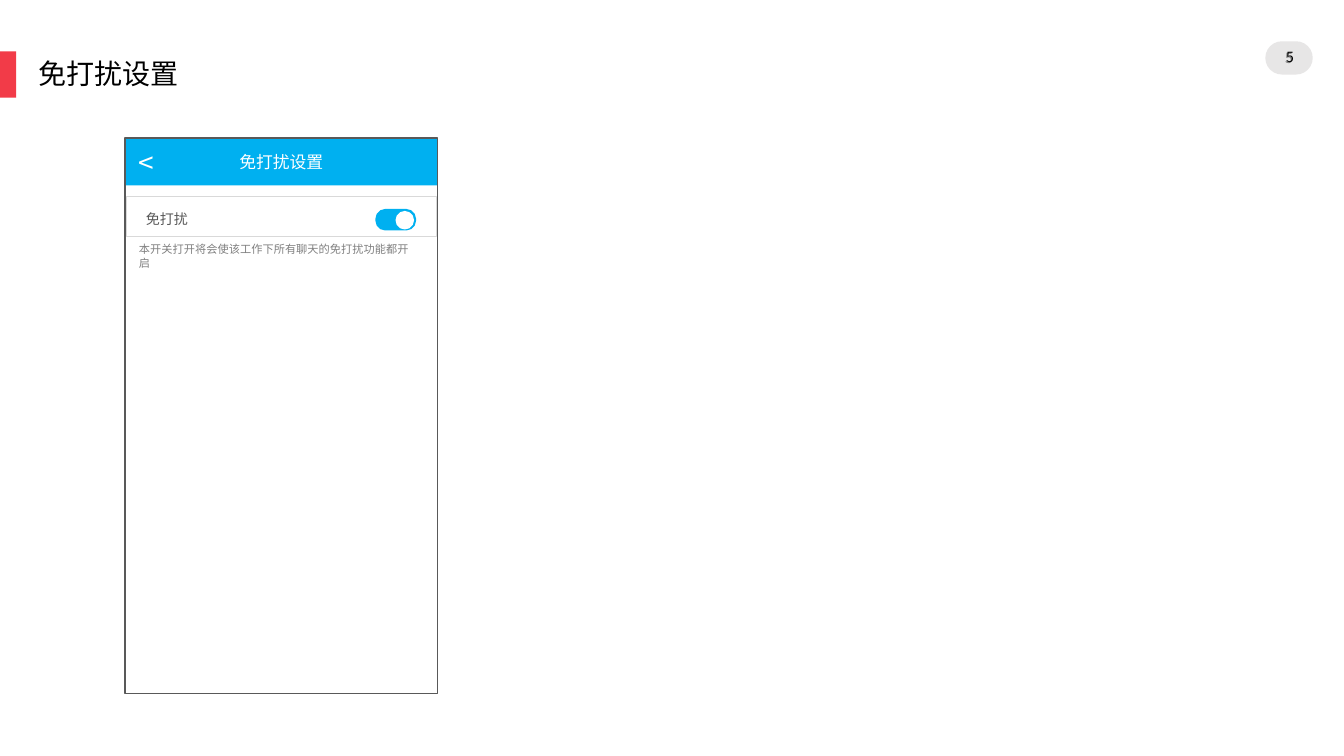
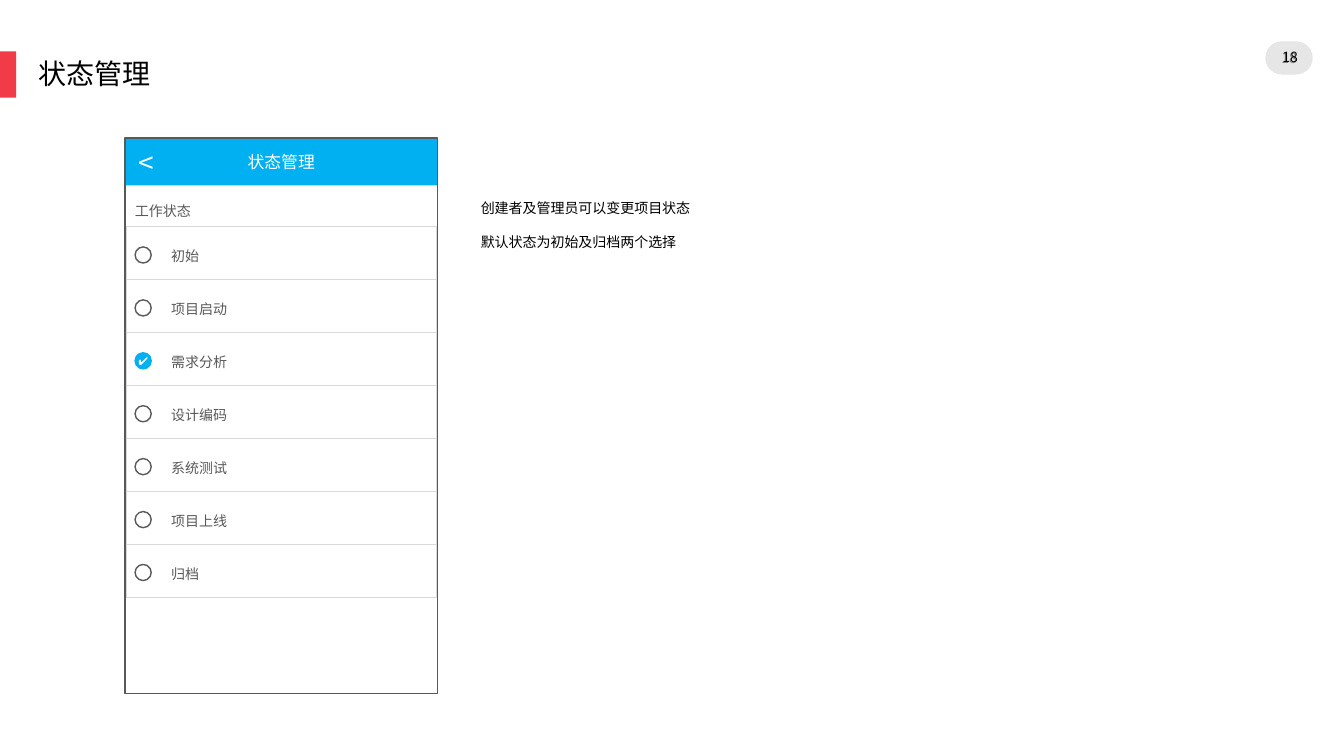
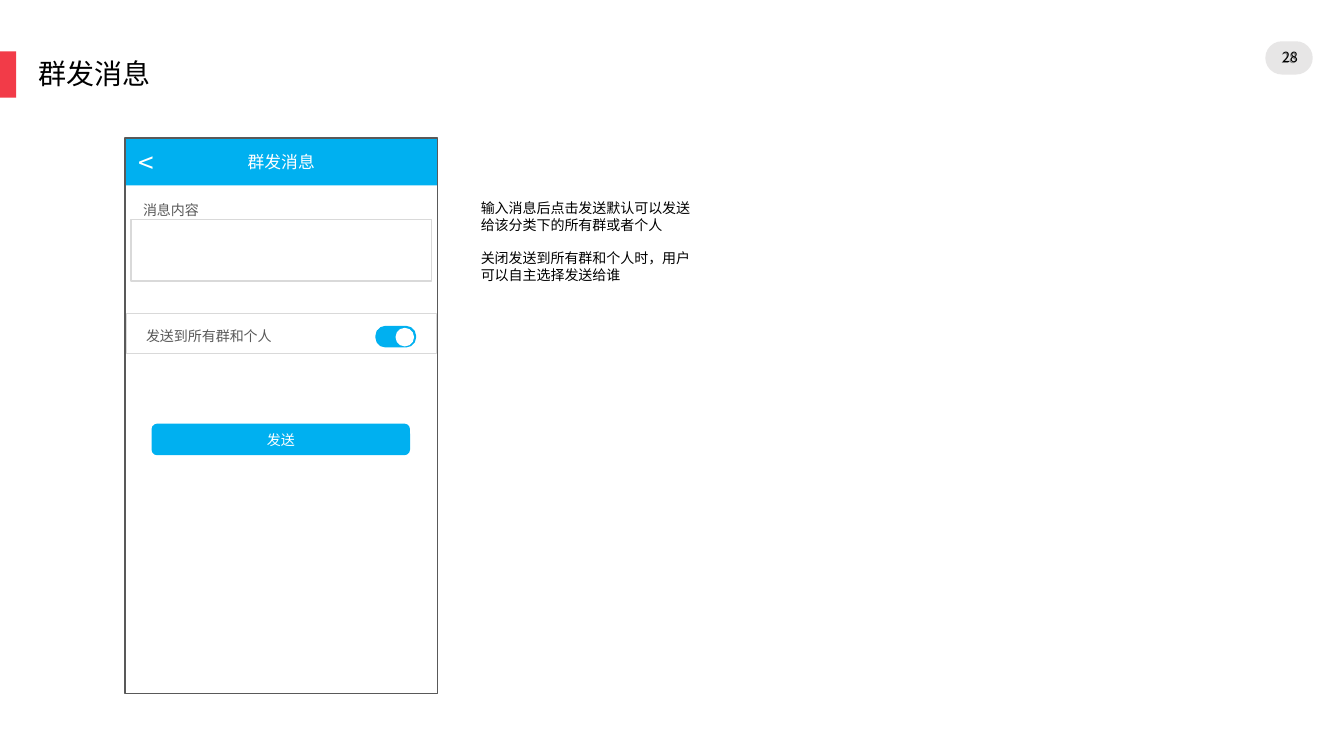
from collections import namedtuple

from lxml.etree import SubElement
from pptx import Presentation
from pptx.dml.color import RGBColor
from pptx.enum.shapes import MSO_SHAPE as SHAPE
from pptx.enum.text import MSO_ANCHOR as ANCHOR, MSO_AUTO_SIZE as AUTO_SIZE, PP_ALIGN as ALIGN
from pptx.oxml.ns import qn
from pptx.util import Inches, Pt

RED = RGBColor(0xF2, 0x3B, 0x48)
BLUE = RGBColor(0x00, 0xB0, 0xF0)
WHITE = RGBColor(0xFF, 0xFF, 0xFF)
BLACK = RGBColor(0x00, 0x00, 0x00)
BADGE_GREY = RGBColor(0xE7, 0xE6, 0xE6)
RULE_GREY = RGBColor(0xD9, 0xD9, 0xD9)
MID_GREY = RGBColor(0x80, 0x80, 0x80)
DARK_GREY = RGBColor(0x59, 0x59, 0x59)

HEADING_FONT = "Noto Sans CJK SC"
ARROW_FONT = "Noto Sans CJK JP"
BODY_FONT = "Arial"

Box = namedtuple("Box", "left top width height")
PHONE = Box(1.24, 1.37, 3.1, 5.51)
NOTE = Box(4.67, 1.93, 2.29, 0.94)
ROW_WIDTH = 3.08
OPTION_HEIGHT = 0.53
OPTION_PITCH = 0.525


def inside(box, left, top, width, height):
    """Return a box whose corner is measured from the corner of another."""
    return Box(box.left + left, box.top + top, width, height)


def format_text(frame, size, color, font=BODY_FONT, align=ALIGN.LEFT):
    for para in frame.paragraphs:
        para.alignment = align
        for span in para.runs:
            span.font.size = Pt(size)
            span.font.color.rgb = color
            span.font.name = font
            properties = span._r.get_or_add_rPr()
            properties.set("lang", "zh-CN")
            SubElement(properties, qn("a:ea")).set("typeface", font)


def clear_margins(frame):
    frame.margin_left = frame.margin_right = 0
    frame.margin_top = frame.margin_bottom = 0


def add_block(page, kind, box, fill=None, line=None, corner=None):
    block = page.shapes.add_shape(kind, *map(Inches, box))
    block.shadow.inherit = False
    if fill is None:
        block.fill.background()
    else:
        block.fill.solid()
        block.fill.fore_color.rgb = fill
    if line is None:
        block.line.fill.background()
    else:
        block.line.color.rgb = line
        block.line.width = Pt(1)
    if corner is not None:
        block.adjustments[0] = corner
    return block


def add_caption(block, text, size, font=BODY_FONT):
    """Write centred white text in a shape."""
    frame = block.text_frame
    frame.text = text
    frame.vertical_anchor = ANCHOR.MIDDLE
    format_text(frame, size, WHITE, font, ALIGN.CENTER)


def add_text(page, box, text, size, color, font=BODY_FONT, align=ALIGN.LEFT, wrap=True):
    text_box = page.shapes.add_textbox(*map(Inches, box))
    frame = text_box.text_frame
    frame.word_wrap = wrap
    frame.text = text
    format_text(frame, size, color, font, align)
    return frame


def add_label(page, box, left, top, text, size=10, color=DARK_GREY):
    """Add a one-line label as wide as its full-width characters."""
    place = inside(box, left, top, len(text) * size / 72 + 0.2, 0.27)
    add_text(page, place, text, size, color, wrap=False)


def add_page_number(page, number):
    badge = Box(12.55, 0.41, 0.47, 0.33)
    add_block(page, SHAPE.ROUNDED_RECTANGLE, badge, BADGE_GREY, corner=0.5)
    shade = add_text(page, inside(badge, 0, -0.05, 0.47, 0.43), number, 10,
                     MID_GREY, HEADING_FONT, ALIGN.CENTER)
    shade.vertical_anchor = ANCHOR.MIDDLE
    digits = add_text(page, inside(badge, 0.01, 0.07, 0.47, 0.21), number, 10,
                      BLACK, HEADING_FONT, ALIGN.CENTER)
    for frame in (shade, digits):
        clear_margins(frame)


def start_page(deck, title, number):
    page = deck.slides.add_slide(deck.slide_layouts[5])
    add_block(page, SHAPE.RECTANGLE, Box(0, 0.51, 0.16, 0.46), RED)
    add_page_number(page, number)
    heading = page.shapes.title
    heading.left, heading.top = Inches(0.28), Inches(0.55)
    heading.width, heading.height = Inches(4.17), Inches(0.46)
    frame = heading.text_frame
    frame.text = title
    frame.auto_size = AUTO_SIZE.NONE
    frame.vertical_anchor = ANCHOR.TOP
    frame.paragraphs[0].line_spacing = 0.9
    frame.paragraphs[0].space_before = Pt(10)
    format_text(frame, 20, BLACK, HEADING_FONT)
    return page


def add_phone(page, box, title):
    """Draw the blue header, the phone outline and the back arrow."""
    header = add_block(page, SHAPE.RECTANGLE, inside(box, 0, 0.01, box.width, 0.46), BLUE)
    add_caption(header, title, 12, HEADING_FONT)
    add_block(page, SHAPE.RECTANGLE, box, line=DARK_GREY)
    add_text(page, inside(box, 0.04, 0.02, 0.34, 0.44), "<", 20, WHITE, ARROW_FONT, wrap=False)


def add_switch_row(page, row, text):
    add_block(page, SHAPE.RECTANGLE, row, WHITE, RULE_GREY)
    add_label(page, row, 0.1, 0.09, text)
    add_block(page, SHAPE.ROUNDED_RECTANGLE, inside(row, 2.48, 0.13, 0.39, 0.2),
              BLUE, BLUE, corner=0.46)
    add_block(page, SHAPE.OVAL, inside(row, 2.68, 0.15, 0.17, 0.17), WHITE, WHITE)


def add_option_row(page, row, text, chosen):
    add_block(page, SHAPE.RECTANGLE, row, WHITE, RULE_GREY)
    fill, line = (BLUE, BLUE) if chosen else (WHITE, DARK_GREY)
    mark = add_block(page, SHAPE.FLOWCHART_CONNECTOR,
                     inside(row, 0.09, 0.2, 0.16, 0.16), fill, line)
    if chosen:
        add_caption(mark, "✔", 8)
        clear_margins(mark.text_frame)
    add_label(page, row, 0.35, 0.16, text)


def add_notes(page, box, notes):
    frame = add_text(page, box, "\n".join(notes), 10, BLACK)
    for para in frame.paragraphs[1:]:
        para.space_before = Pt(12)


def build_quiet_page(deck):
    title = "免打扰设置"
    page = start_page(deck, title, "5")
    add_switch_row(page, inside(PHONE, 0.01, 0.58, ROW_WIDTH, 0.4), "免打扰")
    add_phone(page, PHONE, title)
    add_label(page, PHONE, 0.04, 0.99, "本开关打开将会使该工作下所有聊天的免打扰功能都开启", 8, MID_GREY)


def build_status_page(deck):
    title = "状态管理"
    states = ["初始", "项目启动", "需求分析", "设计编码", "系统测试", "项目上线", "归档"]
    page = start_page(deck, title, "18")
    for index, state in enumerate(states):
        row = inside(PHONE, 0.01, 0.88 + index * OPTION_PITCH, ROW_WIDTH, OPTION_HEIGHT)
        add_option_row(page, row, state, state == "需求分析")
    add_label(page, PHONE, 0, 0.59, "工作状态")
    add_phone(page, PHONE, title)
    add_notes(page, NOTE, ["创建者及管理员可以变更项目状态", "默认状态为初始及归档两个选择"])


def build_broadcast_page(deck):
    title = "群发消息"
    page = start_page(deck, title, "28")
    add_block(page, SHAPE.RECTANGLE, inside(PHONE, 0.06, 0.81, 2.98, 0.61), WHITE, RULE_GREY)
    add_label(page, PHONE, 0.08, 0.58, "消息内容")
    button = add_block(page, SHAPE.ROUNDED_RECTANGLE,
                       inside(PHONE, 0.27, 2.84, 2.55, 0.3), BLUE, BLUE)
    add_caption(button, "发送", 10)
    add_switch_row(page, inside(PHONE, 0.01, 1.74, ROW_WIDTH, 0.4), "发送到所有群和个人")
    add_phone(page, PHONE, title)
    add_notes(page, NOTE, ["输入消息后点击发送默认可以发送给该分类下的所有群或者个人",
                           "关闭发送到所有群和个人时，用户可以自主选择发送给谁"])


def main():
    deck = Presentation()
    deck.slide_width, deck.slide_height = Inches(13.33), Inches(7.5)
    build_quiet_page(deck)
    build_status_page(deck)
    build_broadcast_page(deck)
    deck.save("out.pptx")


if __name__ == "__main__":
    main()
